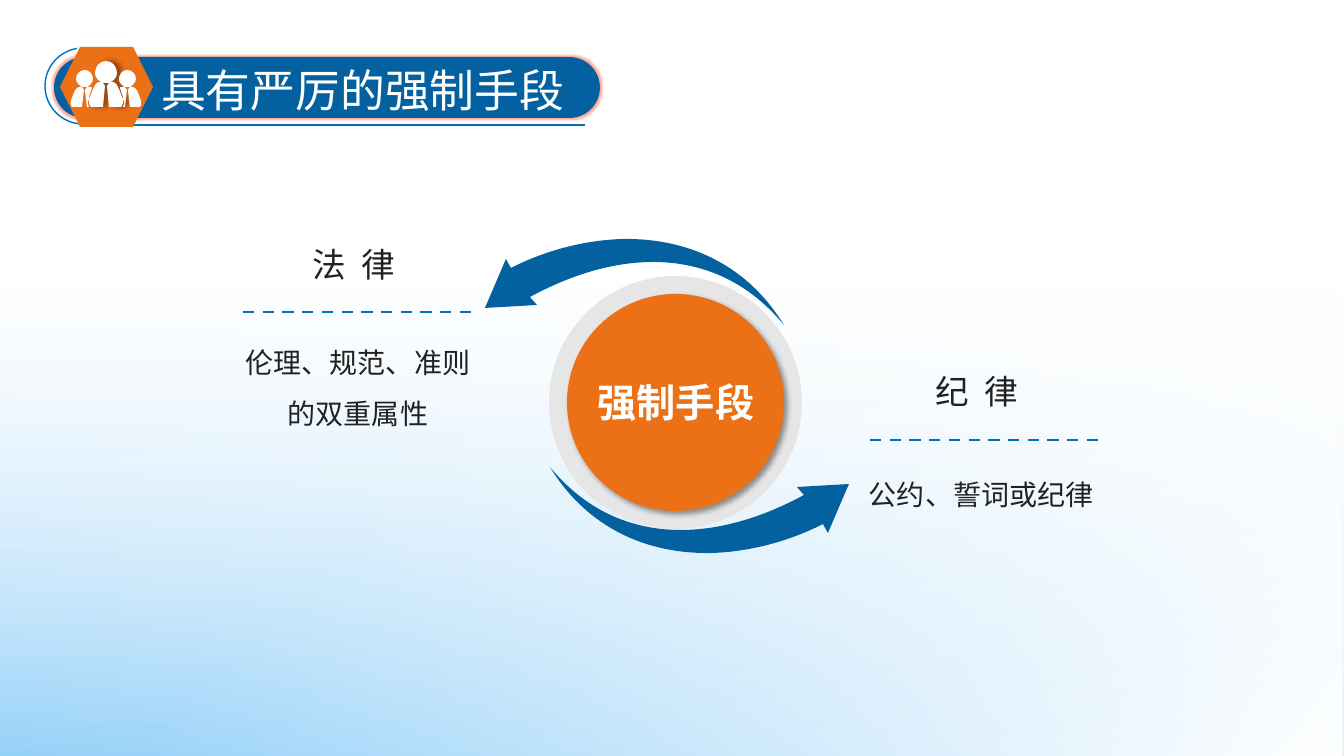
"""Build the slide on strict means of enforcement."""
from dataclasses import dataclass

from lxml import etree
from pptx import Presentation
from pptx import util as u
from pptx.dml.color import RGBColor
from pptx.enum import dml, shapes, text
from pptx.oxml.ns import qn


@dataclass(frozen=True)
class Theme:
    blue: str = "0461A0"
    line: str = "0070C0"
    orange: str = "EC7016"
    sky: str = "67BDF6"
    glow: str = "FF5A3C"
    ring: str = "E6E6E6"
    ink: str = "212121"
    white: str = "FFFFFF"
    black: str = "000000"
    latin: str = "Times New Roman"
    chinese: str = "Noto Sans CJK SC"
    title: int = 32
    label: int = 28
    heading: int = 24
    body: int = 20


THEME = Theme()
WIDTH, HEIGHT = 1344, 756
SCALE = u.Inches(7.5) / HEIGHT

TITLE = ("具有严厉的强制手段", (151, 57, 525, 65))
CENTRE = ("强制手段", (513, 384, 326, 44))
SIDES = [
    {"heading": "法 律", "heading_box": (302, 239, 104, 50),
     "body": ["伦理、规范、准则", "的双重属性"], "body_box": (195, 324, 326, 107),
     "align": text.PP_ALIGN.CENTER, "wrap": True, "rule": (243, 312, 474, 312)},
    {"heading": "纪 律", "heading_box": (925, 366, 104, 50),
     "body": ["公约、誓词或纪律"], "body_box": (859, 456, 247, 55),
     "align": text.PP_ALIGN.LEFT, "wrap": False, "rule": (870, 440, 1100, 440)},
]
WASHES = [
    (90, [(0, THEME.white, 0), (37, THEME.white, 25), (100, THEME.sky, 88)]),
    (45, [(0, THEME.white, 0), (42, THEME.white, 25), (100, THEME.white, 100)]),
]
ARROW = [(623, 239), (686, 238, 746, 263, 784, 325), (720, 247, 624, 246, 530, 297),
         (537, 305), (485, 308), (506, 259), (511, 268), (546, 250, 586, 240, 623, 239)]
ARROW_TURN = (1334, 792)
ICON_MIRROR = 212
LEADER_HALF = [(106, 61), (112, 61, 117, 66, 117, 73), (117, 77, 114, 81, 110, 82),
               (113, 82), (118, 82, 121, 96, 123, 99), (124, 104, 121, 107, 121, 107),
               (109, 107), (107, 86), (109, 83)]
MEMBER = [(89, 99), (89, 98, 89, 98, 89, 97), (90, 94, 91, 91, 92, 88),
          (92, 87, 91, 87, 90, 87), (87, 87), (91, 85, 93, 82, 93, 79),
          (93, 74, 89, 70, 85, 70), (80, 70, 76, 74, 76, 79), (76, 82, 79, 85, 82, 87),
          (79, 87), (75, 87, 72, 98, 71, 101), (70, 105, 72, 107, 72, 107), (82, 107),
          (84, 90), (82, 87), (87, 87), (85, 90), (87, 107), (89, 107),
          (88, 105, 87, 103, 89, 99)]


def px(length):
    return u.Emu(round(length * SCALE))


def rgb(colour):
    return RGBColor.from_string(colour)


def add_element(parent, tag, **attributes):
    values = {name: str(value) for name, value in attributes.items()}
    return etree.SubElement(parent, qn(tag), values)


def add_colour(parent, colour, alpha):
    add_element(add_element(parent, "a:srgbClr", val=colour), "a:alpha", val=alpha * 1000)


def pairs(segment):
    return list(zip(segment[::2], segment[1::2]))


def mirror(outline):
    return [tuple(value for x, y in pairs(segment) for value in (ICON_MIRROR - x, y))
            for segment in outline]


def backward(outline):
    points = [point for segment in outline for point in pairs(segment)][::-1]
    reverse, position = [points[0]], 1
    for segment in outline[:0:-1]:
        count = len(segment) // 2
        reverse.append(sum(points[position:position + count], ()))
        position += count
    return reverse


def paint(shape, fill):
    shape.shadow.inherit = False
    shape.line.fill.background()
    if fill:
        shape.fill.solid()
        shape.fill.fore_color.rgb = rgb(fill)
    else:
        shape.fill.background()
    return shape


def add_preset(slide, kind, box, fill=None):
    return paint(slide.shapes.add_shape(kind, *map(px, box)), fill)


def add_outline(slide, outline, fill):
    start, *ends = [(px(segment[-2]), px(segment[-1])) for segment in outline]
    builder = slide.shapes.build_freeform(*start, scale=1.0)
    builder.add_line_segments(ends, close=True)
    shape = builder.convert_to_shape()
    lines = list(shape._element.spPr.iter(qn("a:lnTo")))
    for line, segment in zip(lines, outline[1:]):
        if len(segment) == 6:
            curve = etree.Element(qn("a:cubicBezTo"))
            for x, y in pairs(segment):
                add_element(curve, "a:pt", x=px(x) - shape.left, y=px(y) - shape.top)
            line.getparent().replace(line, curve)
    return paint(shape, fill)


def add_shadow(shape, direction):
    effects = shape._element.spPr.find(qn("a:effectLst"))
    shadow = add_element(effects, "a:outerShdw", blurRad=u.Pt(4), dist=u.Pt(3),
                         dir=direction * 60000, algn="ctr", rotWithShape=0)
    add_colour(shadow, THEME.black, 40)


def add_wash(slide, angle, stops):
    shape = add_preset(slide, shapes.MSO_SHAPE.RECTANGLE, (0, 0, WIDTH, HEIGHT))
    empty = shape._element.spPr.find(qn("a:noFill"))
    gradient = etree.Element(qn("a:gradFill"), rotWithShape="1")
    stop_list = add_element(gradient, "a:gsLst")
    for position, colour, alpha in stops:
        add_colour(add_element(stop_list, "a:gs", pos=position * 1000), colour, alpha)
    add_element(gradient, "a:lin", ang=angle * 60000, scaled=0)
    shape._element.spPr.replace(empty, gradient)


def add_rule(slide, ends, width, dash=None):
    rule = slide.shapes.add_connector(shapes.MSO_CONNECTOR.STRAIGHT, *map(px, ends))
    rule.line.color.rgb = rgb(THEME.line)
    rule.line.width = u.Pt(width)
    if dash:
        rule.line.dash_style = dash
    add_element(rule._element.spPr, "a:effectLst")


def write(shape, lines, box, size, colour=THEME.ink, latin=THEME.chinese, bold=False,
          align=text.PP_ALIGN.LEFT, spacing=1.0, wrap=True, tracking=0, inset=None,
          anchor=text.MSO_ANCHOR.TOP):
    shape.left, shape.top, shape.width, shape.height = map(px, box)
    frame = shape.text_frame
    frame.text = "\n".join(lines)
    frame.word_wrap = wrap
    frame.auto_size = text.MSO_AUTO_SIZE.NONE
    frame.vertical_anchor = anchor
    frame.margin_left = frame.margin_right = px(10 if inset is None else inset)
    frame.margin_top = frame.margin_bottom = px(5 if inset is None else inset)
    for paragraph in frame.paragraphs:
        properties = paragraph._p.get_or_add_pPr()
        properties.set("marL", "0")
        properties.set("indent", "0")
        add_element(properties, "a:buNone")
        paragraph.alignment = align
        paragraph.line_spacing = spacing
        paragraph.space_before = paragraph.space_after = u.Pt(0)
        for run in paragraph.runs:
            run.font.size, run.font.bold, run.font.name = u.Pt(size), bold, latin
            run.font.color.rgb = rgb(colour)
            if tracking:
                run.font._element.set("spc", str(tracking))
            add_element(run.font._element, "a:ea", typeface=THEME.chinese)


def draw_banner(slide):
    arc = add_preset(slide, shapes.MSO_SHAPE.ARC, (45, 48, 76, 76))
    arc.adjustments[0], arc.adjustments[1] = 53.91, 156.32
    arc.line.color.rgb = rgb(THEME.line)
    arc.line.width = u.Pt(1)
    add_rule(slide, (84, 125, 585, 125), 1)
    pill = add_preset(slide, shapes.MSO_SHAPE.ROUNDED_RECTANGLE, (54, 57, 546, 61), THEME.blue)
    pill.adjustments[0] = 0.5
    effects = pill._element.spPr.find(qn("a:effectLst"))
    add_colour(add_element(effects, "a:glow", rad=px(4)), THEME.glow, 50)
    add_preset(slide, shapes.MSO_SHAPE.HEXAGON, (60, 47, 93, 80), THEME.orange)
    leader = add_outline(slide, LEADER_HALF + backward(mirror(LEADER_HALF)), THEME.white)
    add_shadow(leader, 0)
    for outline in (MEMBER, mirror(MEMBER)):
        add_outline(slide, outline, THEME.white)


def draw_cycle(slide):
    turned = [tuple(value for x, y in pairs(segment)
                    for value in (ARROW_TURN[0] - x, ARROW_TURN[1] - y)) for segment in ARROW]
    for outline in (ARROW, turned):
        add_outline(slide, outline, THEME.blue)
    add_preset(slide, shapes.MSO_SHAPE.OVAL, (549, 276, 253, 253), THEME.ring)
    disc = add_preset(slide, shapes.MSO_SHAPE.OVAL, (567, 294, 217, 217), THEME.orange)
    add_shadow(disc, 45)
    label, box = CENTRE
    write(slide.shapes.add_textbox(0, 0, 0, 0), [label], box, THEME.label, colour=THEME.white,
          bold=True, align=text.PP_ALIGN.CENTER, spacing=0.9, inset=0)


def main():
    presentation = Presentation()
    presentation.slide_width, presentation.slide_height = px(WIDTH), px(HEIGHT)
    slide = presentation.slides.add_slide(presentation.slide_layouts.get_by_name("Comparison"))
    title, *placeholders = slide.placeholders
    for angle, stops in WASHES:
        add_wash(slide, angle, stops)
    draw_banner(slide)
    draw_cycle(slide)
    for placeholder in (title, *placeholders):
        slide.shapes._spTree.append(placeholder._element)
    write(title, [TITLE[0]], TITLE[1], THEME.title, colour=THEME.white, latin=THEME.latin,
          anchor=text.MSO_ANCHOR.MIDDLE)
    for side, heading, body in zip(SIDES, placeholders[::2], placeholders[1::2]):
        write(heading, [side["heading"]], side["heading_box"], THEME.heading, wrap=False,
              tracking=300)
        write(body, side["body"], side["body_box"], THEME.body, align=side["align"],
              spacing=1.5, wrap=side["wrap"])
        add_rule(slide, side["rule"], 2, dash=dml.MSO_LINE.DASH)
    presentation.save("out.pptx")


if __name__ == "__main__":
    main()
